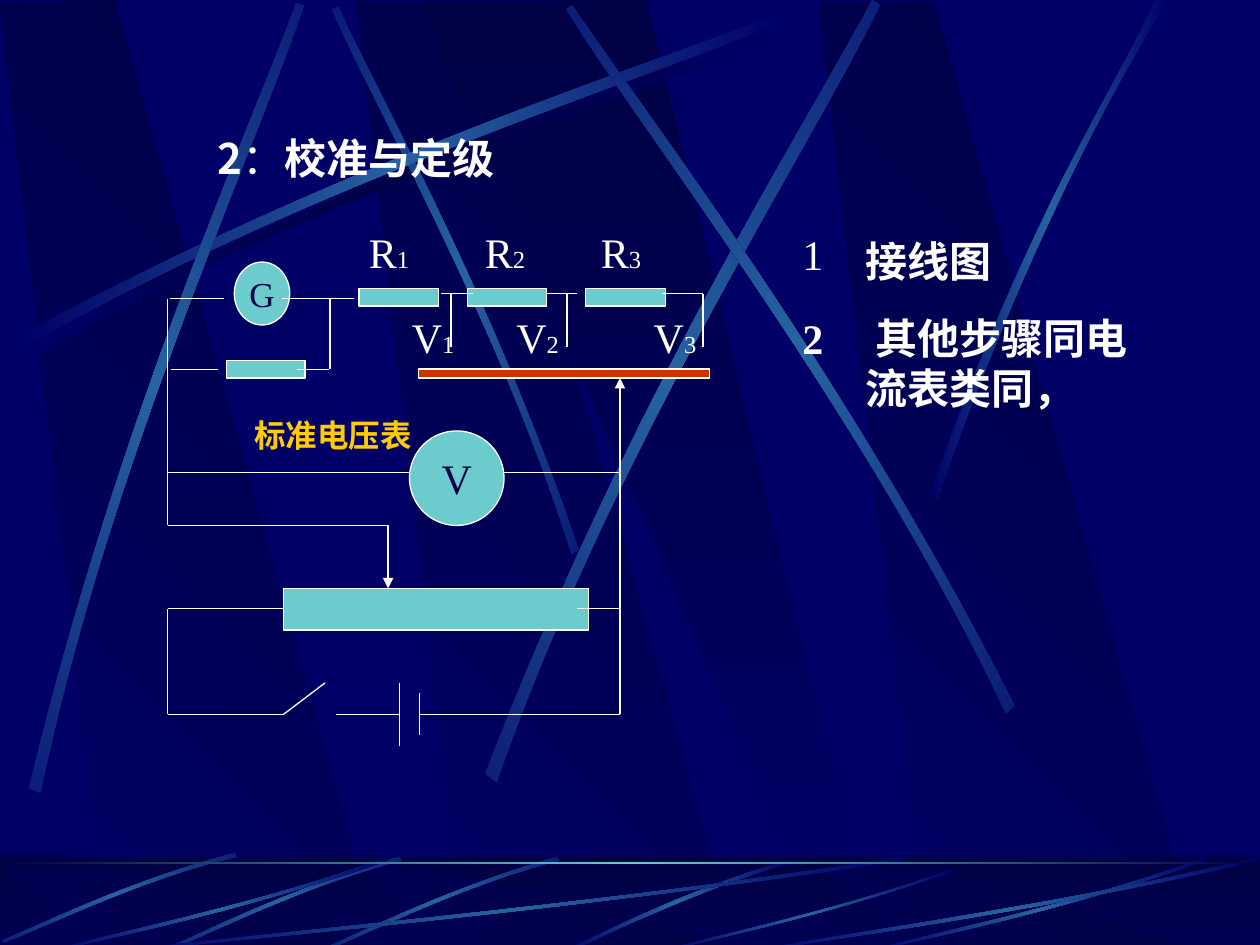
from math import cos, radians, sin
from lxml.etree import SubElement
from pptx import Presentation
from pptx.dml.color import RGBColor
from pptx.enum.shapes import MSO_CONNECTOR, MSO_SHAPE as SHAPE
from pptx.enum.text import MSO_ANCHOR, PP_ALIGN
from pptx.oxml import parse_xml
from pptx.oxml.ns import nsdecls, qn
from pptx.util import Inches, Pt

NAVY = RGBColor(0x00, 0x00, 0x66)
DARK = RGBColor(0x00, 0x00, 0x44)
STEEL = RGBColor(0x26, 0x63, 0xA0)
TEAL = RGBColor(0x6B, 0xCB, 0xCD)
RED = RGBColor(0xCC, 0x33, 0x00)
GOLD = RGBColor(0xFF, 0xCC, 0x00)
WHITE = RGBColor(0xFF, 0xFF, 0xFF)
SERIF, SANS = "Times New Roman", "Noto Sans CJK SC"
SHADE = (DARK, NAVY)
GLOW = (NAVY, STEEL, NAVY)

# Background shards: corners, gradient angle
SHARDS = [
    ([(3.69, 7.51), (5.85, 7.53), (3.74, 0.01), (2.83, 0.02)], 135),
    ([(0.86, 7.5), (3.02, 7.52), (0.91, 0), (0, 0.02)], 135),
    ([(7.36, 7.52), (9.52, 7.53), (7.41, 0.01), (6.5, 0.02)], 135),
    ([(3.33, 0.01), (6.58, 7.51), (6.94, 7.51), (5.13, 0)], 90),
]
# Ribbons: outer curve, inner curve back, rotation, centre of rotation, colours
UPPER_RIBBONS = [
    ([(0.2, 2.75), (2.84, 1.34), (5.24, 0.59), (6.26, 0.18)],
     [(6.29, 0.24), (5.28, 0.69), (2.54, 1.51), (0.23, 2.85)], 0, (0, 0), (NAVY, DARK, NAVY)),
    ([(4.6, 4.36), (3.91, 2.34), (3.02, 0.77), (2.69, 0.05)],
     [(2.64, 0.07), (2.95, 0.79), (3.98, 2.58), (4.54, 4.39)], 45, (3.62, 2.23), GLOW),
    ([(0.14, 2.67), (2.78, 1.25), (5.18, 0.51), (6.2, 0.1)],
     [(6.23, 0.16), (5.22, 0.61), (2.48, 1.43), (0.17, 2.77)], 0, (0, 0), GLOW),
    ([(0.23, 6.25), (0.93, 3.34), (1.97, 1.05), (2.35, 0.02)],
     [(2.41, 0.04), (2.07, 1.08), (0.86, 3.68), (0.32, 6.29)], 311.7, (1.33, 3.16), GLOW),
    ([(3.85, 6.14), (4.98, 3.2), (6.38, 1.02), (6.92, 0)],
     [(6.98, 0.04), (6.49, 1.08), (4.86, 3.55), (3.94, 6.21)], 321.6, (5.43, 3.11), GLOW),
    ([(8.06, 5.6), (6.7, 2.93), (5.16, 0.95), (4.55, 0.04)],
     [(4.5, 0.07), (5.07, 1.01), (6.85, 3.25), (7.99, 5.66)], 34.8, (6.27, 2.86), GLOW),
    ([(7.38, 3.93), (8.14, 1.73), (8.88, 0.66), (9.17, 0)],
     [(9.27, 0), (8.36, 1.45), (7.69, 3.22), (7.44, 3.97)], 0, (0, 0), GLOW),
]
FLOOR_RIBBONS = [
    ([(6.27, 6.82), (5.37, 7.09), (4.77, 7.42), (4.48, 7.54)],
     [(4.53, 7.55), (4.9, 7.37), (5.71, 7), (6.28, 6.85)], 0, (0, 0), GLOW),
    ([(4.42, 6.8), (3.55, 7.05), (2.87, 7.4), (2.56, 7.53)],
     [(2.57, 7.55), (2.88, 7.43), (3.65, 7.03), (4.44, 6.83)], 314.9, (3.5, 7.18), GLOW),
    ([(3.17, 6.8), (2.3, 7.05), (1.62, 7.4), (1.31, 7.53)],
     [(1.32, 7.55), (1.63, 7.43), (2.4, 7.03), (3.19, 6.83)], 314.9, (2.25, 7.18), GLOW),
    ([(1.86, 6.77), (0.99, 7), (0.33, 7.34), (0.02, 7.46)],
     [(0.03, 7.48), (0.34, 7.37), (1.1, 6.98), (1.88, 6.8)], 314.9, (0.95, 7.13), GLOW),
    ([(7.17, 6.83), (4.49, 7.23), (2.06, 7.44), (1.03, 7.55)],
     [(1, 7.54), (2.02, 7.41), (4.8, 7.18), (7.14, 6.8)], 0, (0, 0), GLOW),
    ([(3.08, 6.83), (1.93, 7.23), (0.88, 7.44), (0.43, 7.55)],
     [(0.42, 7.54), (0.86, 7.41), (2.06, 7.18), (3.07, 6.8)], 0, (0, 0), GLOW),
    ([(7.58, 6.91), (6.58, 7.26), (5.67, 7.45), (5.28, 7.55)],
     [(5.27, 7.54), (5.65, 7.43), (6.69, 7.22), (7.57, 6.89)], 0, (0, 0), GLOW),
    ([(9.58, 6.83), (8.43, 7.23), (7.38, 7.44), (6.93, 7.55)],
     [(6.92, 7.54), (7.36, 7.41), (8.56, 7.18), (9.57, 6.8)], 0, (0, 0), GLOW),
    ([(10, 6.83), (8.27, 7.23), (6.69, 7.44), (6.02, 7.55)],
     [(6, 7.54), (6.66, 7.41), (8.46, 7.18), (9.98, 6.8)], 0, (0, 0), GLOW),
]

# Circuit labels: left, top, width, letter, subscript
LABELS = [(2.83, 1.75, 0.63, "R", "1"), (3.75, 1.75, 0.52, "R", "2"), (4.67, 1.75, 0.72, "R", "3"),
          (3.17, 2.42, 0.7, "V", "1"), (4, 2.42, 0.62, "V", "2"), (5.09, 2.42, 0.54, "V", "3")]
# Components: preset, box, fill, letter, letter size
COMPONENTS = [
    (SHAPE.OVAL, (1.86, 2.08, 0.44, 0.5), TEAL, "G", 20),
    (SHAPE.RECTANGLE, (1.8, 2.86, 0.62, 0.14), TEAL, "", 0),
    *[(SHAPE.RECTANGLE, (left, 2.29, 0.63, 0.14), TEAL, "", 0) for left in (4.65, 3.71, 2.85)],
    (SHAPE.RECTANGLE, (3.32, 2.93, 2.31, 0.07), RED, "", 0),
    (SHAPE.OVAL, (3.25, 3.42, 0.75, 0.75), TEAL, "V", 24),
    (SHAPE.RECTANGLE, (2.25, 4.67, 2.42, 0.33), TEAL, "", 0),
]
WIRES = [
    (1.78, 2.37, 1.35, 2.37), (1.33, 2.37, 1.33, 4.17), (1.73, 2.93, 1.36, 2.93),
    (2.24, 2.37, 2.81, 2.37), (2.36, 2.93, 2.61, 2.93), (2.62, 2.93, 2.62, 2.37),
    (3.5, 2.33, 3.75, 2.33), (4.33, 2.33, 4.58, 2.33), (5.25, 2.33, 5.58, 2.33),
    *[(x, 2.33, x, 2.75) for x in (5.58, 4.5, 3.58)],
    (4, 3.75, 4.92, 3.75), (3.25, 3.75, 1.33, 3.75), (4.58, 4.83, 4.92, 4.83),
    (3.08, 4.17, 1.33, 4.17), (2.25, 4.83, 1.33, 4.83), (4.92, 4.83, 4.92, 5.67),
    (1.33, 4.83, 1.33, 5.67), (1.33, 5.67, 2.25, 5.67), (2.25, 5.67, 2.58, 5.42),
    (2.67, 5.67, 3.17, 5.67), (3.17, 5.42, 3.17, 5.92), (3.33, 5.5, 3.33, 5.83),
    (3.33, 5.67, 4.92, 5.67),
]
ARROWS = [(4.92, 4.83, 4.92, 3), (3.08, 4.17, 3.08, 4.67)]
STEPS = ["接线图", "2\t 其他步骤同电流表类同，"]

presentation = Presentation()
presentation.slide_width, presentation.slide_height = Inches(10), Inches(7.5)
slide = presentation.slides.add_slide(presentation.slide_layouts[6])
slide.background.fill.solid()
slide.background.fill.fore_color.rgb = NAVY
shapes = slide.shapes


def fill_gradient(shape, colors, angle):
    """Spread the colours evenly, clockwise angle in degrees, with no outline."""
    step = 100000 // (len(colors) - 1)
    stops = "".join(f'<a:gs pos="{i * step}"><a:srgbClr val="{color}"/></a:gs>'
                    for i, color in enumerate(colors))
    shape.line.fill.background()
    shape.shadow.inherit = False
    shape._element.spPr.find(qn("a:ln")).addprevious(parse_xml(
        f'<a:gradFill {nsdecls("a")} rotWithShape="1"><a:gsLst>{stops}</a:gsLst>'
        f'<a:lin ang="{angle * 60000}" scaled="0"/></a:gradFill>'))


def add_polygon(points, colors, angle):
    start, *others = [(Inches(x), Inches(y)) for x, y in points]
    builder = shapes.build_freeform(*start, scale=1.0)
    builder.add_line_segments(others, close=True)
    shape = builder.convert_to_shape()
    fill_gradient(shape, colors, angle)
    return shape


def bend(segments):
    """Merge three straight segments into one cubic curve."""
    first, *others = segments
    first.tag = qn("a:cubicBezTo")
    for segment in others:
        first.append(segment[0])
        segment.getparent().remove(segment)


def add_ribbon(outer, inner, rotation, center, colors):
    """Turn the outline back by its rotation so that the gradient turns with the shape."""
    c, s = cos(radians(rotation)), sin(radians(rotation))
    offsets = [(x - center[0], y - center[1]) for x, y in outer + inner]
    points = [(center[0] + x * c + y * s, center[1] - x * s + y * c) for x, y in offsets]
    ribbon = add_polygon(points, colors, 180)
    ribbon.rotation = rotation
    segments = list(ribbon._element.iter(qn("a:lnTo")))
    bend(segments[:3])
    bend(segments[4:7])


def add_box(preset, box):
    shape = shapes.add_shape(preset, *map(Inches, box))
    shape.shadow.inherit = False
    return shape


def add_wire(ends, arrow=False):
    wire = shapes.add_connector(MSO_CONNECTOR.STRAIGHT, *map(Inches, ends))
    wire.line.color.rgb, wire.line.width = WHITE, Pt(0.75)
    if arrow:
        SubElement(wire.line._get_or_add_ln(), qn("a:tailEnd"), type="triangle")
    SubElement(wire._element.spPr, qn("a:effectLst"))


def style(paragraph, size, color=WHITE, font=SERIF, bold=False):
    paragraph.font.size, paragraph.font.name, paragraph.font.bold = Pt(size), font, bold
    paragraph.font.color.rgb = color


def add_text(box, wrap=True):
    frame = shapes.add_textbox(*map(Inches, box)).text_frame
    frame.word_wrap = wrap
    return frame


for corners, angle in SHARDS:
    add_polygon(corners, SHADE, angle)
for ribbon in UPPER_RIBBONS:
    add_ribbon(*ribbon)
fill_gradient(add_box(SHAPE.RECTANGLE, (0, 6.8, 10, 0.75)), SHADE, 90)
for corners, angle in SHARDS:
    add_polygon([(x, 6.88 + y * 0.66 / 7.52) for x, y in corners], SHADE, angle)
veil = add_box(SHAPE.RECTANGLE, (0, 6.79, 10, 0.75))
veil.line.fill.background()
veil.fill.solid()
veil.fill.fore_color.rgb = DARK
SubElement(veil._element.spPr.find(qn("a:solidFill"))[0], qn("a:alpha"), val="50000")
for ribbon in FLOOR_RIBBONS:
    add_ribbon(*ribbon)
fill_gradient(add_box(SHAPE.RECTANGLE, (0, 6.84, 10, 0.02)), (DARK, TEAL, DARK), 180)

title = add_text((1.63, 1, 2.44, 0.5)).paragraphs[0]
style(title, 24, font=SANS)
for text, bold in (("2", True), ("：", False), ("校准与定级", True)):
    run = title.add_run()
    run.text, run.font.bold = text, bold
for *place, letter, subscript in LABELS:
    label = add_text((*place, 0.5)).paragraphs[0]
    style(label, 24)
    label.add_run().text = letter
    run = label.add_run()
    run.text, run.font.size = subscript, Pt(14)

for preset, box, color, letter, size in COMPONENTS:
    component = add_box(preset, box)
    component.fill.solid()
    component.fill.fore_color.rgb = color
    component.line.color.rgb, component.line.width = WHITE, Pt(0.75)
    if letter:
        frame = component.text_frame
        frame.word_wrap, frame.vertical_anchor = False, MSO_ANCHOR.MIDDLE
        frame.text = letter
        frame.paragraphs[0].alignment = PP_ALIGN.CENTER
        style(frame.paragraphs[0], size, DARK)
for ends in WIRES:
    add_wire(ends)
for ends in ARROWS:
    add_wire(ends, arrow=True)

meter = add_text((1.92, 3.25, 1.45, 0.4), wrap=False).paragraphs[0]
meter.text = "标准电压表"
style(meter, 18, GOLD, bold=True)

steps = add_text((6.27, 1.82, 3.06, 1.51))
steps.text = "\n".join(STEPS)
for paragraph in steps.paragraphs:
    properties = paragraph._p.get_or_add_pPr()
    properties.set("marL", str(Inches(0.5)))
    properties.set("indent", str(Inches(-0.5)))
first, second = steps.paragraphs
SubElement(first._p.pPr, qn("a:buFontTx"))
SubElement(first._p.pPr, qn("a:buChar"), char="1")
second.space_before = Pt(15)
for paragraph in steps.paragraphs:
    style(paragraph, 24, bold=True)

presentation.save("out.pptx")
